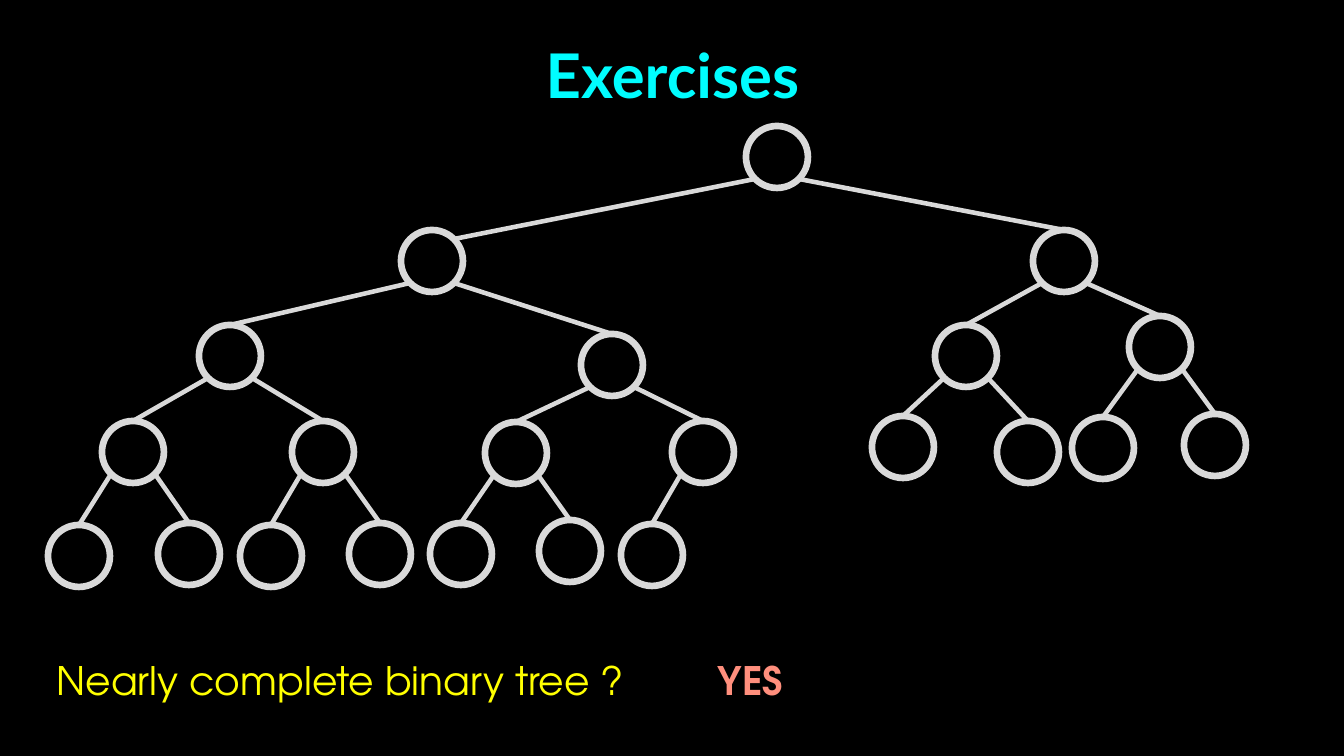
import dataclasses

import pptx
import pptx.dml.color
import pptx.enum.shapes
import pptx.enum.text
import pptx.oxml.ns
import pptx.util
from lxml import etree

SLIDE_WIDTH, SLIDE_HEIGHT = 1344, 756
EMU_PER_PX = 12192000 / SLIDE_WIDTH


@dataclasses.dataclass(frozen=True)
class Theme:
    background: str = "000000"
    tree: str = "D9D9D9"
    title: str = "00FDFF"
    question: str = "FFFF00"
    answer: str = "FF8F7D"
    title_font: str = "Lato"
    body_font: str = "TeX Gyre Adventor"
    title_size: int = 44
    body_size: int = 28
    node_line: float = 4.75
    edge_line: float = 3.25


def px(length):
    return pptx.util.Emu(round(length * EMU_PER_PX))


def color(value):
    return pptx.dml.color.RGBColor.from_string(value)


class TreeSlide:
    DIAMETER = 62
    INSET = 9  # from the node's box to its outline along a diagonal

    def __init__(self, page, theme):
        self.page = page
        self.theme = theme
        self.tree = None
        page.background.fill.solid()
        page.background.fill.fore_color.rgb = color(theme.background)

    def start_tree(self):
        self.tree = self.page.shapes.add_group_shape()

    def style_line(self, item, width):
        item.line.color.rgb = color(self.theme.tree)
        item.line.width = pptx.util.Pt(width)

    def node(self, left, top):
        circle = self.tree.shapes.add_shape(
            pptx.enum.shapes.MSO_SHAPE.OVAL,
            px(left), px(top), px(self.DIAMETER), px(self.DIAMETER))
        circle.shadow.inherit = False
        circle.fill.background()
        self.style_line(circle, self.theme.node_line)

    def edge(self, parent, child, is_left, to_side=False):
        far = self.DIAMETER - self.INSET
        start_x = parent[0] + (self.INSET if is_left else far)
        start_y = parent[1] + far
        # An edge ends at the child's top, or at its upper right
        end_x = child[0] + (far if to_side else self.DIAMETER // 2)
        end_y = child[1] + (self.INSET if to_side else 0)
        line = self.tree.shapes.add_connector(
            pptx.enum.shapes.MSO_CONNECTOR.STRAIGHT,
            px(start_x), px(start_y), px(end_x), px(end_y))
        self.style_line(line, self.theme.edge_line)
        etree.SubElement(line._element.spPr, pptx.oxml.ns.qn("a:effectLst"))

    def text(self, words, left, top, width, height, font, size, shade,
             bold=False, wrap=True, grow=True, centered=False, spacing=None):
        box = self.page.shapes.add_textbox(px(left), px(top), px(width), px(height))
        frame = box.text_frame
        frame.text = words
        frame.word_wrap = wrap
        fit = pptx.enum.text.MSO_AUTO_SIZE
        frame.auto_size = fit.SHAPE_TO_FIT_TEXT if grow else fit.NONE
        para = frame.paragraphs[0]
        align = pptx.enum.text.PP_ALIGN
        para.alignment = align.CENTER if centered else align.LEFT
        if spacing:
            para.line_spacing = spacing
        span = para.runs[0]
        span.font.name = font
        span.font.size = pptx.util.Pt(size)
        span.font.bold = bold
        span.font.color.rgb = color(shade)


# Left and top of each node, level by level; node n hangs from node n // 2
NODES = [
    (746, 126),
    (401, 230), (1033, 230),
    (199, 325), (581, 334), (935, 325), (1129, 316),
    (102, 421), (292, 421), (485, 422), (672, 421),
    (872, 416), (997, 421), (1072, 417), (1184, 414),
    (48, 525), (158, 523), (240, 525), (349, 523),
    (430, 523), (539, 520), (621, 524),
]


def main():
    theme = Theme()
    deck = pptx.Presentation()
    deck.slide_width, deck.slide_height = px(SLIDE_WIDTH), px(SLIDE_HEIGHT)
    page = deck.slides.add_slide(deck.slide_layouts[6])
    slide = TreeSlide(page, theme)

    # Binary tree
    slide.start_tree()
    for number, position in enumerate(NODES, start=1):
        slide.node(*position)
        if number > 1:
            slide.edge(NODES[number // 2 - 1], position,
                       is_left=number % 2 == 0, to_side=number == 2)

    # Question and answer
    slide.text(" Nearly complete binary tree ?", 36, 651, 607, 57,
               theme.body_font, theme.body_size, theme.question, wrap=False)
    slide.text("YES", 708, 651, 364, 57,
               theme.body_font, theme.body_size, theme.answer, bold=True)

    # Title
    slide.text("Exercises", 93, 40, 1159, 146,
               theme.title_font, theme.title_size, theme.title,
               bold=True, grow=False, centered=True, spacing=0.9)

    deck.save("out.pptx")


if __name__ == "__main__":
    main()
